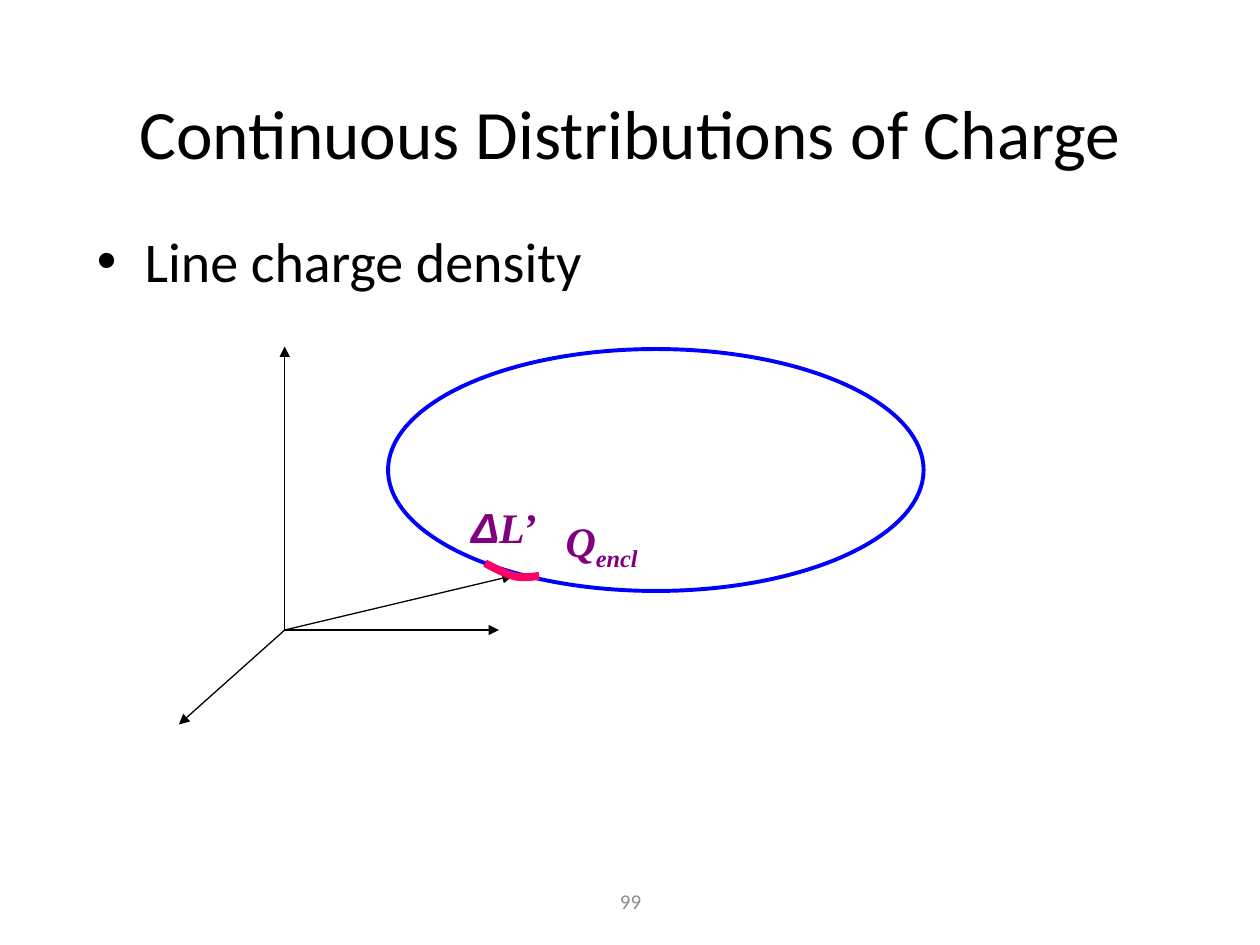
from typing import NamedTuple

from lxml.etree import SubElement
from pptx import Presentation
from pptx.dml.color import RGBColor
from pptx.enum.shapes import MSO_CONNECTOR, MSO_SHAPE
from pptx.enum.text import MSO_ANCHOR, PP_ALIGN
from pptx.oxml.ns import qn
from pptx.util import Inches, Pt

BLACK, GREY, BLUE = "000000", "8C8C8C", "0000FF"
PURPLE, PINK = "800080", "FF0066"
MATH = {"bold": True, "italic": True}


class Run(NamedTuple):
    text: str
    face: str
    size: float
    color: str
    style: dict = {}
    base: int = 0


class Box(NamedTuple):
    at: tuple
    runs: list
    align: PP_ALIGN = PP_ALIGN.LEFT
    anchor: MSO_ANCHOR = MSO_ANCHOR.TOP
    wrap: bool = True
    bullet: bool = False


def rgb(code: str) -> RGBColor:
    return RGBColor.from_string(code)


def add_box(slide, box: Box) -> None:
    frame = slide.shapes.add_textbox(*map(Inches, box.at)).text_frame
    frame.word_wrap, frame.vertical_anchor = box.wrap, box.anchor
    para = frame.paragraphs[0]
    para.alignment = box.align
    if box.bullet:
        props = para._p.get_or_add_pPr()
        props.set("marL", str(Inches(0.38)))
        props.set("indent", str(Inches(-0.38)))
        SubElement(props, qn("a:buFont"), typeface="Arial")
        SubElement(props, qn("a:buChar"), char="•")
    for item in box.runs:
        run = para.add_run()
        run.text = item.text
        font = {"name": item.face, "size": Pt(item.size), **item.style}
        for key, value in font.items():
            setattr(run.font, key, value)
        run.font.color.rgb = rgb(item.color)
        if item.base:
            run.font._element.set("baseline", str(item.base * 1000))


def set_line(shape, color: str, width: float) -> None:
    shape.line.color.rgb = rgb(color)
    shape.line.width = Pt(width)


def add_arrow(slide, start: tuple, end: tuple) -> None:
    arrow = slide.shapes.add_connector(
        MSO_CONNECTOR.STRAIGHT, *map(Inches, start + end))
    set_line(arrow, BLACK, 0.75)
    SubElement(arrow.line._get_or_add_ln(), qn("a:tailEnd"), type="triangle")
    SubElement(arrow._element.spPr, qn("a:effectLst"))


def curve(a: tuple, b: tuple, c: tuple, d: tuple, steps: int = 12) -> list:
    """Points along a cubic curve, without its start."""
    points = []
    for i in range(1, steps + 1):
        t = i / steps
        u = 1 - t
        points.append(tuple(
            Inches(u**3 * p + 3 * u * u * t * q + 3 * u * t * t * r + t**3 * s)
            for p, q, r, s in zip(a, b, c, d)))
    return points


def main() -> None:
    deck = Presentation()
    deck.slide_width, deck.slide_height = Inches(10), Inches(7.5)
    slide = deck.slides.add_slide(deck.slide_layouts[6])

    # Page number, title and bullet
    for box in (
        Box((3.42, 6.95, 3.17, 0.4), [Run("99", "Calibri", 12, GREY)],
            PP_ALIGN.CENTER, MSO_ANCHOR.MIDDLE),
        Box((0.75, 0.42, 8.5, 1.25),
            [Run("Continuous Distributions of Charge", "Calibri", 39.6, BLACK)],
            PP_ALIGN.CENTER, MSO_ANCHOR.MIDDLE),
        Box((0.67, 1.75, 8.5, 4.5),
            [Run("Line charge density", "Calibri", 32, BLACK)], bullet=True),
    ):
        add_box(slide, box)

    # Charged loop
    loop = slide.shapes.add_shape(
        MSO_SHAPE.OVAL, *map(Inches, (3.08, 2.77, 4.25, 1.92)))
    loop.shadow.inherit = False
    loop.fill.background()
    set_line(loop, BLUE, 2.25)

    # Axes, then the vector to the segment
    origin, mid = (2.26, 5), (4.07, 4.57)
    for tip in ((2.26, 2.75), (3.96, 5), (1.42, 5.75), mid):
        add_arrow(slide, origin, tip)

    # Labels
    serif = "Times New Roman"
    add_box(slide, Box((4.39, 4.04, 0.83, 0.5), [
        Run("Q", serif, 24, PURPLE, MATH),
        Run("encl", serif, 24, PURPLE, MATH, -25)], wrap=False))
    add_box(slide, Box((3.64, 3.93, 0.72, 0.5), [
        Run("Δ", "Arial", 24, PURPLE, MATH),
        Run("L’", serif, 24, PURPLE, MATH)], wrap=False))

    # Line segment on the loop
    start = (3.85, 4.47)
    pen = slide.shapes.build_freeform(*map(Inches, start), scale=1.0)
    pen.add_line_segments(
        curve(start, (3.93, 4.51), (4, 4.55), mid)
        + curve(mid, (4.14, 4.59), (4.21, 4.58), (4.28, 4.57)), close=False)
    part = pen.convert_to_shape()
    part.shadow.inherit = False
    part.fill.background()
    set_line(part, PINK, 4.5)

    deck.save("out.pptx")


if __name__ == "__main__":
    main()
